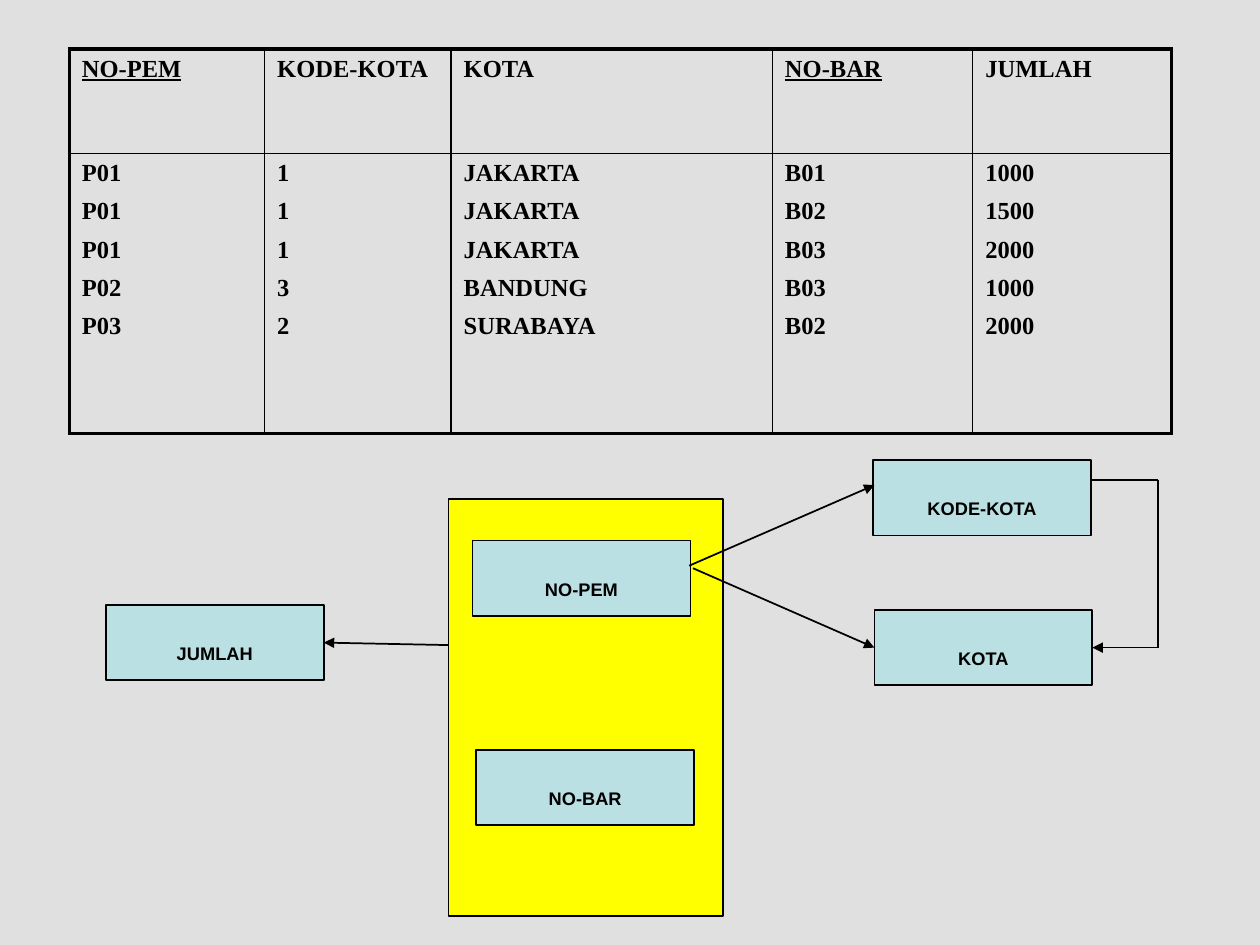
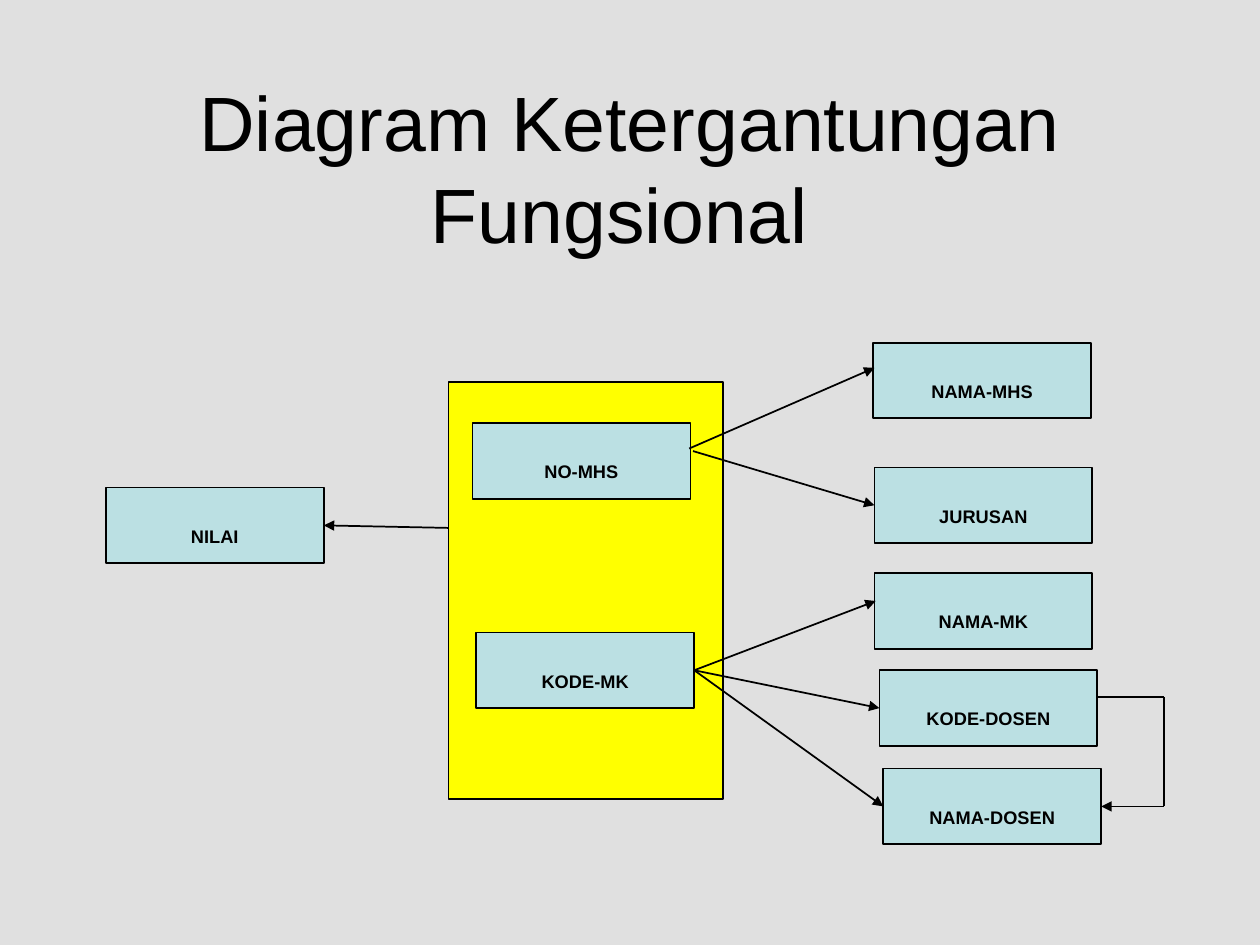
"""Build two slides that show functional dependencies as a table and diagrams."""
from lxml import etree
from pptx import Presentation
from pptx.dml.color import RGBColor
from pptx.enum.shapes import MSO_CONNECTOR, MSO_SHAPE
from pptx.enum.text import MSO_ANCHOR, PP_ALIGN
from pptx.oxml.ns import qn
from pptx.util import Inches, Pt

STRAIGHT = MSO_CONNECTOR.STRAIGHT
RECTANGLE = MSO_SHAPE.RECTANGLE
MIDDLE = MSO_ANCHOR.MIDDLE
LEFT_ALIGN, CENTER = PP_ALIGN.LEFT, PP_ALIGN.CENTER
LEFT, RIGHT = 1, 3

COLORS = {"background": "E0E0E0", "box": "BBE0E3", "key": "FFFF00", "ink": "000000"}
HEADING_FONT, TABLE_FONT = "Arial", "Times New Roman"
THIN, THICK = 1, 2.25

SLIDE_WIDTH, SLIDE_HEIGHT = 10, 7.5
BOX_WIDTH, BOX_HEIGHT = 1.73, 0.6
KEY_AREA = (3.56, 0.31, 2.18, 3.31)
RESULT_AT = (0.84, 1.15)
KEYS_AT = [(3.75, 0.64), (3.78, 2.3)]
RESULT_START = (3.56, 1.47)
FIRST_KEY_UPPER, FIRST_KEY_LOWER = (5.47, 0.84), (5.5, 0.86)
LOOP_REACH = 0.53

TITLE = "Diagram Ketergantungan Fungsional "
TABLE_AT = (0.55, 0.39)
ROW_HEIGHTS = [0.83, 2.22]
COLUMNS = [
    ("NO-PEM", 1.55, True, ["P01", "P01", "P01", "P02", "P03"]),
    ("KODE-KOTA", 1.48, False, ["1", "1", "1", "3", "2"]),
    ("KOTA", 2.55, False, ["JAKARTA", "JAKARTA", "JAKARTA", "BANDUNG", "SURABAYA"]),
    ("NO-BAR", 1.59, True, ["B01", "B02", "B03", "B03", "B02"]),
    ("JUMLAH", 1.58, False, ["1000", "1500", "2000", "1000", "2000"]),
]

SUPPLIER_DIAGRAM = {
    "top": 3.65,
    "result": "JUMLAH",
    "keys": ["NO-PEM", "NO-BAR"],
    "targets": [("KODE-KOTA", 6.93, 0), ("KOTA", 6.94, 1.19)],
    "arrows": [
        (FIRST_KEY_UPPER, (6.94, 0.2)),
        (FIRST_KEY_LOWER, ("KOTA", LEFT)),
    ],
    "loop": ("KODE-KOTA", "KOTA", 0.16),
}
STUDENT_DIAGRAM = {
    "top": 2.72,
    "result": "NILAI",
    "keys": ["NO-MHS", "KODE-MK"],
    "targets": [
        ("NAMA-MHS", 6.93, 0),
        ("JURUSAN", 6.94, 0.99),
        ("NAMA-MK", 6.94, 1.83),
        ("KODE-DOSEN", 6.98, 2.6),
        ("NAMA-DOSEN", 7.01, 3.38),
    ],
    "arrows": [
        (FIRST_KEY_UPPER, (6.94, 0.2)),
        (FIRST_KEY_LOWER, ("JURUSAN", LEFT)),
        (("KODE-MK", RIGHT), (6.95, 2.05)),
        (("KODE-MK", RIGHT), ("KODE-DOSEN", LEFT)),
        (("KODE-MK", RIGHT), ("NAMA-DOSEN", LEFT)),
    ],
    "loop": ("KODE-DOSEN", "NAMA-DOSEN", 0.21),
}


def color(name):
    return RGBColor.from_string(COLORS[name])


def write_text(frame, lines, font=HEADING_FONT, size=18, bold=False, underline=False,
               align=CENTER, gap=0, baseline=None):
    for index, line in enumerate(lines):
        paragraph = frame.add_paragraph() if index else frame.paragraphs[0]
        paragraph.alignment = align
        if index and gap:
            paragraph.space_before = Pt(gap)
        run = paragraph.add_run()
        run.text = line
        run.font.name, run.font.size = font, Pt(size)
        run.font.bold, run.font.underline = bold, underline
        run.font.color.rgb = color("ink")
        if baseline:
            run.font._element.set("baseline", str(baseline))


def add_rectangle(slide, left, top, width, height, fill):
    shape = slide.shapes.add_shape(RECTANGLE, *map(Inches, (left, top, width, height)))
    shape.shadow.inherit = False
    shape.fill.solid()
    shape.fill.fore_color.rgb = color(fill)
    shape.line.color.rgb = color("ink")
    shape.line.width = Pt(THIN)
    return shape


def add_box(slide, label, left, top):
    shape = add_rectangle(slide, left, top, BOX_WIDTH, BOX_HEIGHT, "box")
    shape.text_frame.word_wrap = False
    shape.text_frame.vertical_anchor = MIDDLE
    write_text(shape.text_frame, [label], bold=True, baseline=-25000)
    return shape


def add_line(slide, boxes, top, start, end, arrow=True):
    def is_joined(place):
        return isinstance(place[0], str)

    points = [(0, 0) if is_joined(place) else (place[0], top + place[1])
              for place in (start, end)]
    line = slide.shapes.add_connector(STRAIGHT, *map(Inches, points[0] + points[1]))
    if is_joined(start):
        line.begin_connect(boxes[start[0]], start[1])
    if is_joined(end):
        line.end_connect(boxes[end[0]], end[1])
    line.line.color.rgb = color("ink")
    line.line.width = Pt(THIN)
    if arrow:
        etree.SubElement(line.line._get_or_add_ln(), qn("a:tailEnd"), type="triangle")
    etree.SubElement(line._element.spPr, qn("a:effectLst"))


def add_diagram(slide, diagram):
    top = diagram["top"]
    left, offset, width, height = KEY_AREA
    add_rectangle(slide, left, top + offset, width, height, "key")

    places = {diagram["result"]: RESULT_AT}
    places.update(zip(diagram["keys"], KEYS_AT))
    places.update({label: (x, y) for label, x, y in diagram["targets"]})
    boxes = {label: add_box(slide, label, x, top + y) for label, (x, y) in places.items()}

    add_line(slide, boxes, top, RESULT_START, (diagram["result"], RIGHT))
    for start, end in diagram["arrows"]:
        add_line(slide, boxes, top, start, end)

    source, target, drop = diagram["loop"]
    source_x, source_y = places[source]
    edge = source_x + BOX_WIDTH
    corner = (edge + LOOP_REACH, source_y + drop)
    bend = (corner[0], places[target][1] + BOX_HEIGHT / 2)
    add_line(slide, boxes, top, (edge, corner[1]), corner, arrow=False)
    add_line(slide, boxes, top, corner, bend, arrow=False)
    add_line(slide, boxes, top, bend, (target, RIGHT))


def set_borders(cell, widths):
    properties = cell._tc.get_or_add_tcPr()
    for side, width in widths.items():
        border = etree.SubElement(properties, qn(f"a:ln{side}"), w=str(Pt(width)))
        fill = etree.SubElement(border, qn("a:solidFill"))
        etree.SubElement(fill, qn("a:srgbClr"), val=COLORS["ink"])


def add_supply_table(slide):
    widths = [column[1] for column in COLUMNS]
    frame = slide.shapes.add_table(len(ROW_HEIGHTS), len(COLUMNS), *map(
        Inches, (*TABLE_AT, sum(widths), sum(ROW_HEIGHTS))))
    table = frame.table
    table.first_row = table.horz_banding = False
    for row, height in zip(table.rows, ROW_HEIGHTS):
        row.height = Inches(height)
    last = len(COLUMNS) - 1
    for index, (heading, width, is_key, values) in enumerate(COLUMNS):
        table.columns[index].width = Inches(width)
        for row, lines in enumerate(([heading], values)):
            cell = table.cell(row, index)
            set_borders(cell, {
                "L": THICK if index == 0 else THIN,
                "R": THICK if index == last else THIN,
                "T": THICK if row == 0 else THIN,
                "B": THICK if row == 1 else THIN,
            })
            cell.fill.background()
            write_text(cell.text_frame, lines, font=TABLE_FONT, size=14, bold=True,
                       underline=is_key and row == 0, align=LEFT_ALIGN, gap=6.3)


def add_title(slide, text):
    box = slide.shapes.add_textbox(*map(Inches, (0.5, 0.7, SLIDE_WIDTH - 1, 1.25)))
    box.text_frame.word_wrap = True
    box.text_frame.vertical_anchor = MIDDLE
    write_text(box.text_frame, [text], size=44)


def main():
    presentation = Presentation()
    presentation.slide_width = Inches(SLIDE_WIDTH)
    presentation.slide_height = Inches(SLIDE_HEIGHT)
    background = presentation.slide_master.background.fill
    background.solid()
    background.fore_color.rgb = color("background")
    blank = presentation.slide_layouts[6]

    supplier_slide = presentation.slides.add_slide(blank)
    add_supply_table(supplier_slide)
    add_diagram(supplier_slide, SUPPLIER_DIAGRAM)

    student_slide = presentation.slides.add_slide(blank)
    add_title(student_slide, TITLE)
    add_diagram(student_slide, STUDENT_DIAGRAM)

    presentation.save("out.pptx")


if __name__ == "__main__":
    main()
